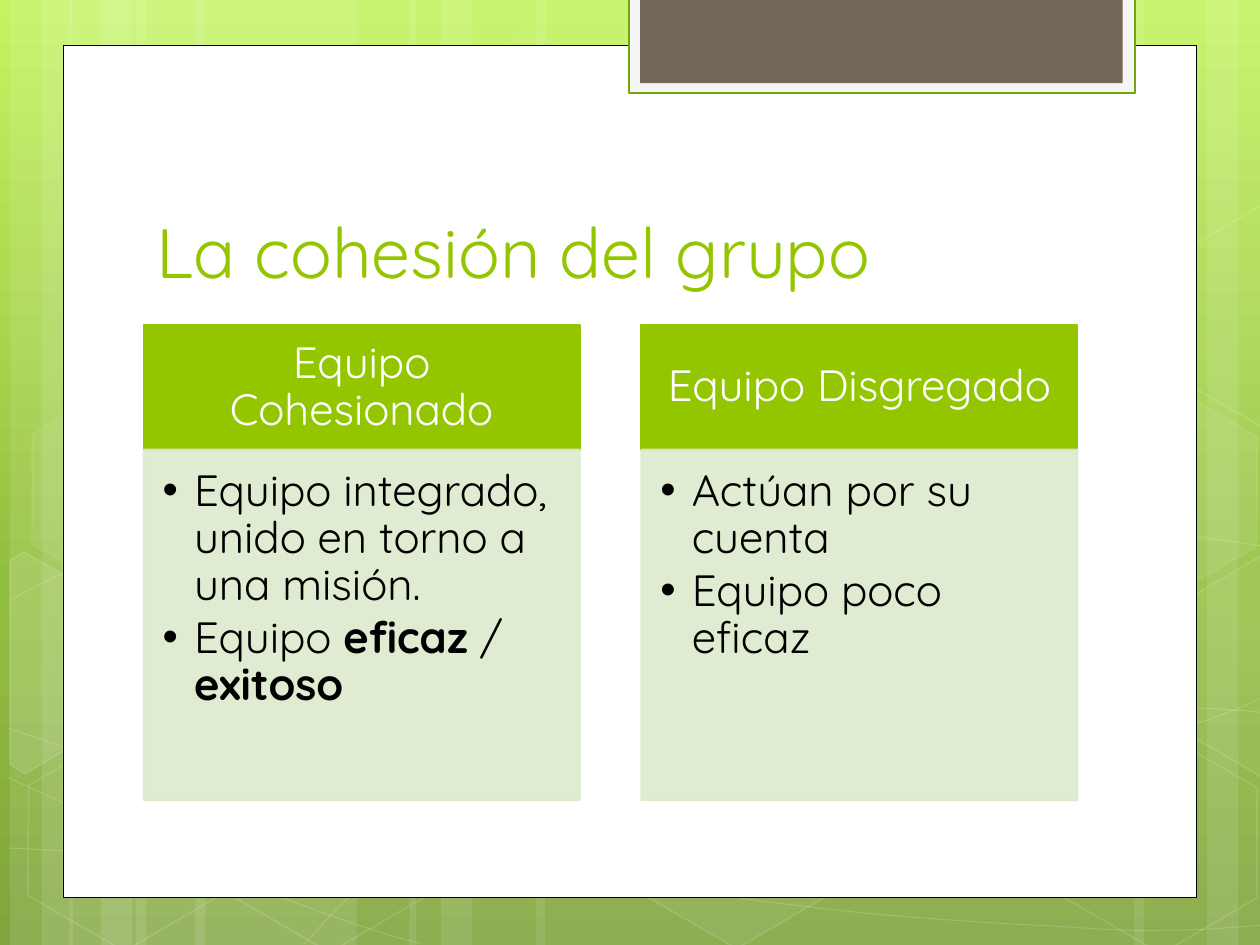
import copy
from dataclasses import dataclass

import pptx
import pptx.dml.color
import pptx.enum.shapes
import pptx.enum.text
import pptx.util
from lxml import etree
from pptx.oxml.ns import qn

Inches, Pt = pptx.util.Inches, pptx.util.Pt
Kind = pptx.enum.shapes.MSO_SHAPE
Align, Anchor = pptx.enum.text.PP_ALIGN, pptx.enum.text.MSO_ANCHOR


@dataclass(frozen=True)
class Theme:
    font: str = "Quicksand"
    green: str = "94C600"
    edge: str = "74A510"
    pale: str = "DCEACC"
    white: str = "FFFFFF"
    black: str = "000000"
    frame: str = "F5F5F5"
    brown: str = "71685A"
    sky: tuple = ((0, "C3F35F"), (0.62, "93BF3F"), (1, "81A53E"))
    title: int = 40
    text: int = 25


THEME = Theme()

# Backdrop: left and width of each light bar
BARS = [(1.08, 1.75), (0.08, 0.5), (0.33, 0.83), (1.55, 1.75), (0.55, 0.5),
        (0.8, 0.83), (7.33, 1.75), (9.58, 0.5), (9, 0.83), (4.25, 3.08),
        (3.25, 0.5), (3.5, 0.83)]

# Start point, then two handles and an end point for each bend
WAVES = [
    [(0.07, 6.73), (0.61, 6.76), (1.15, 6.79), (1.9, 6.78), (2.65, 6.77),
     (3.58, 6.75), (4.58, 6.65), (5.58, 6.55), (7, 6.36), (7.92, 6.17),
     (8.83, 5.98), (9.77, 5.68), (10.07, 5.51)],
    [(0.07, 4.77), (0.36, 4.61), (0.65, 4.46), (1.21, 4.31), (1.78, 4.16),
     (2.59, 3.94), (3.47, 3.87), (4.36, 3.8), (5.44, 3.79), (6.54, 3.87),
     (7.64, 3.95), (9.47, 4.26), (10.07, 4.34)],
    [(0.06, 6.17), (1.27, 6.72), (2.47, 7.27), (3.34, 7.49)],
    [(0.07, 5.78), (0.38, 5.89), (0.7, 6), (1.28, 6.16), (1.86, 6.31),
     (2.73, 6.56), (3.57, 6.73), (4.4, 6.9), (5.45, 7.08), (6.28, 7.18),
     (7.11, 7.29), (8, 7.33), (8.53, 7.36), (9.05, 7.4), (9.19, 7.38),
     (9.45, 7.38), (9.71, 7.37), (9.89, 7.35), (10.07, 7.34)],
    [(2.42, 7.49), (2.6, 7.29), (2.78, 7.09), (3.02, 6.91), (3.26, 6.73),
     (3.6, 6.53), (3.88, 6.39), (4.16, 6.25), (4.33, 6.19), (4.7, 6.09),
     (5.06, 5.99), (5.73, 5.85), (6.08, 5.78), (6.44, 5.71), (6.49, 5.71),
     (6.8, 5.69), (7.11, 5.66), (7.6, 5.63), (7.94, 5.62), (8.29, 5.61),
     (8.86, 5.62), (8.86, 5.62), (9.08, 5.62), (9.31, 5.62), (9.53, 5.62),
     (9.71, 5.63), (9.88, 5.64), (9.97, 5.65), (10.06, 5.66), (10.03, 5.65),
     (10.06, 5.66)],
]

# Left, top, fill opacity and line opacity, in percent
CELLS = [(3.34, 0.36, 4, 8), (4.97, 5.89, 6, 12), (0.11, 5.91, 0, 12),
         (0.14, 3.12, 7, 8), (1.74, 5.92, 0, 12), (7.53, 4.53, 10, 12),
         (8.34, 5.93, 0, 12), (8.34, 3.14, 7, 8)]

# Hexagons cut by the slide edge: fill opacity and corners
CUTS = [
    (10, [(0.08, 4.45), (0.19, 4.38), (0.96, 4.82), (0.95, 5.7),
          (0.2, 6.14), (0.08, 6.07)]),
    (4, [(9.26, 4.85), (10.01, 4.41), (10.09, 4.46), (10.09, 6.13),
         (10.02, 6.17), (9.26, 5.73)]),
    (0, [(9.26, 2.07), (10.01, 1.63), (10.1, 1.68), (10.09, 3.35),
         (10.02, 3.39), (9.26, 2.95)]),
]

# Header, then bullets made of (text, bold) runs
TEAMS = [
    ("Equipo Cohesionado",
     [[("Equipo integrado, unido en torno a una misión.", False)],
      [("Equipo ", False), ("eficaz", True), (" / ", False),
       ("exitoso", True)]]),
    ("Equipo Disgregado",
     [[("Actúan por su cuenta", False)], [("Equipo poco eficaz", False)]]),
]


def rgb(code):
    return pptx.dml.color.RGBColor.from_string(code)


def fade(shape, part, alpha):
    if alpha < 100:
        for node in shape._element.xpath(f"./p:spPr/{part}a:srgbClr"):
            etree.SubElement(node, qn("a:alpha"), val=str(alpha * 1000))


def paint(shape, fill=None, line=None, width=1, see=100, rim=100):
    """Set fill and line; see and rim are their opacities in percent."""
    if fill and see:
        shape.fill.solid()
        shape.fill.fore_color.rgb = rgb(fill)
        fade(shape, "a:solidFill/", see)
    else:
        shape.fill.background()
    if line:
        shape.line.color.rgb = rgb(line)
        shape.line.width = Pt(width)
        fade(shape, "a:ln/a:solidFill/", rim)
    else:
        shape.line.fill.background()


def add_box(slide, box, kind=Kind.RECTANGLE, **look):
    shape = slide.shapes.add_shape(kind, *map(Inches, box))
    shape.shadow.inherit = False
    paint(shape, **look)
    return shape


def add_path(slide, points, close, **look):
    dots = [(Inches(x), Inches(y)) for x, y in points]
    pen = slide.shapes.build_freeform(*dots[0])
    pen.add_line_segments(dots[1:], close=close)
    shape = pen.convert_to_shape()
    shape.shadow.inherit = False
    paint(shape, **look)
    return shape


def bend(shape):
    """Join each three straight steps into one cubic bend."""
    steps = shape._element.xpath(".//a:lnTo")
    for i in range(0, len(steps), 3):
        curve = etree.Element(qn("a:cubicBezTo"))
        steps[i].addprevious(curve)
        for step in steps[i:i + 3]:
            curve.append(step[0])
            step.getparent().remove(step)


def add_run(para, text, size, color, bold=False):
    run = para.add_run()
    run.text = text
    font = run.font
    font.name, font.size, font.bold = THEME.font, Pt(size), bold
    font.color.rgb = rgb(color)


def place(slide, index, box, anchor, inset):
    """Move a placeholder to its box, on top of the backdrop."""
    holder = slide.placeholders[index]
    holder.left, holder.top, holder.width, holder.height = map(Inches, box)
    slide.shapes._spTree.append(holder._element)
    frame = holder.text_frame
    frame.word_wrap = True
    frame.auto_size = pptx.enum.text.MSO_AUTO_SIZE.NONE
    frame.vertical_anchor = anchor
    (frame.margin_left, frame.margin_top,
     frame.margin_right, frame.margin_bottom) = map(Inches, inset)
    return holder


def add_bullet(para, runs):
    props = para._p.get_or_add_pPr()
    props.set("marL", str(Inches(0.25)))
    props.set("indent", str(Inches(-0.25)))
    etree.SubElement(props, qn("a:buFont"), typeface="Arial")
    etree.SubElement(props, qn("a:buChar"), char="•")
    para.alignment, para.line_spacing = Align.LEFT, 0.9
    para.space_before, para.space_after = Pt(0), Pt(3)
    for text, bold in runs:
        add_run(para, text, THEME.text, THEME.black, bold)


def add_team(slide, index, left, head, items):
    top = place(slide, index, (left, 2.58, 3.46, 0.99), Anchor.MIDDLE,
                (0.19, 0.11, 0.19, 0.11))
    paint(top, THEME.green, THEME.green, 1.25)
    para = top.text_frame.paragraphs[0]
    para.alignment, para.line_spacing = Align.CENTER, 0.9
    para.space_before = Pt(0)
    add_run(para, head, THEME.text, THEME.white)

    body = place(slide, index + 1, (left, 3.57, 3.46, 2.78), Anchor.TOP,
                 (0.15, 0.15, 0.19, 0.22))
    paint(body, THEME.pale, THEME.pale, 1.25, see=90, rim=90)
    frame = body.text_frame
    for i, runs in enumerate(items):
        add_bullet(frame.add_paragraph() if i else frame.paragraphs[0], runs)


def add_sky(slide):
    fill = slide.background.fill
    fill.gradient()
    fill.gradient_angle = 270
    stops = slide._element.xpath(".//p:bg//a:gsLst")[0]
    stops.insert(1, copy.deepcopy(stops[0]))
    for stop, (point, color) in zip(fill.gradient_stops, THEME.sky):
        stop.position, stop.color.rgb = point, rgb(color)


def add_decor(slide):
    white = THEME.white
    for left, width in BARS:
        add_box(slide, (left, 0, width, 7.5), fill=white, see=10)
    for knots in WAVES:
        bend(add_path(slide, knots, False, line=white, width=0.5, rim=20))
    for left, top, see, rim in CELLS:
        cell = add_box(slide, (left, top, 1.75, 1.52), Kind.HEXAGON,
                       fill=white, line=white, see=see, rim=rim)
        cell.adjustments[0], cell.adjustments[1] = 0.285, 1.155
        cell.rotation = 30
    for see, points in CUTS:
        add_path(slide, points, True, fill=white, line=white, see=see, rim=12)


def main():
    deck = pptx.Presentation()
    deck.slide_width, deck.slide_height = Inches(10), Inches(7.5)
    slide = deck.slides.add_slide(deck.slide_layouts.get_by_name("Comparison"))

    # Backdrop, page and tab
    add_sky(slide)
    add_decor(slide)
    add_box(slide, (0.5, 0.36, 9, 6.76), fill=THEME.white, line=THEME.black,
            width=0.5)
    add_box(slide, (4.99, -0.02, 4.02, 0.76), fill=THEME.frame,
            line=THEME.edge, width=1.25)
    add_box(slide, (5.08, -0.02, 3.83, 0.68), fill=THEME.brown)

    # Title
    title = place(slide, 0, (1.14, 1.12, 7.68, 1.25), Anchor.BOTTOM,
                  (0.1, 0.05, 0.1, 0.05))
    para = title.text_frame.paragraphs[0]
    para.alignment = Align.LEFT
    add_run(para, "La cohesión del grupo", THEME.title, THEME.green)

    # Two teams side by side
    for i, (head, items) in enumerate(TEAMS):
        add_team(slide, 1 + 2 * i, 1.14 + 3.95 * i, head, items)

    deck.save("out.pptx")


if __name__ == "__main__":
    main()
